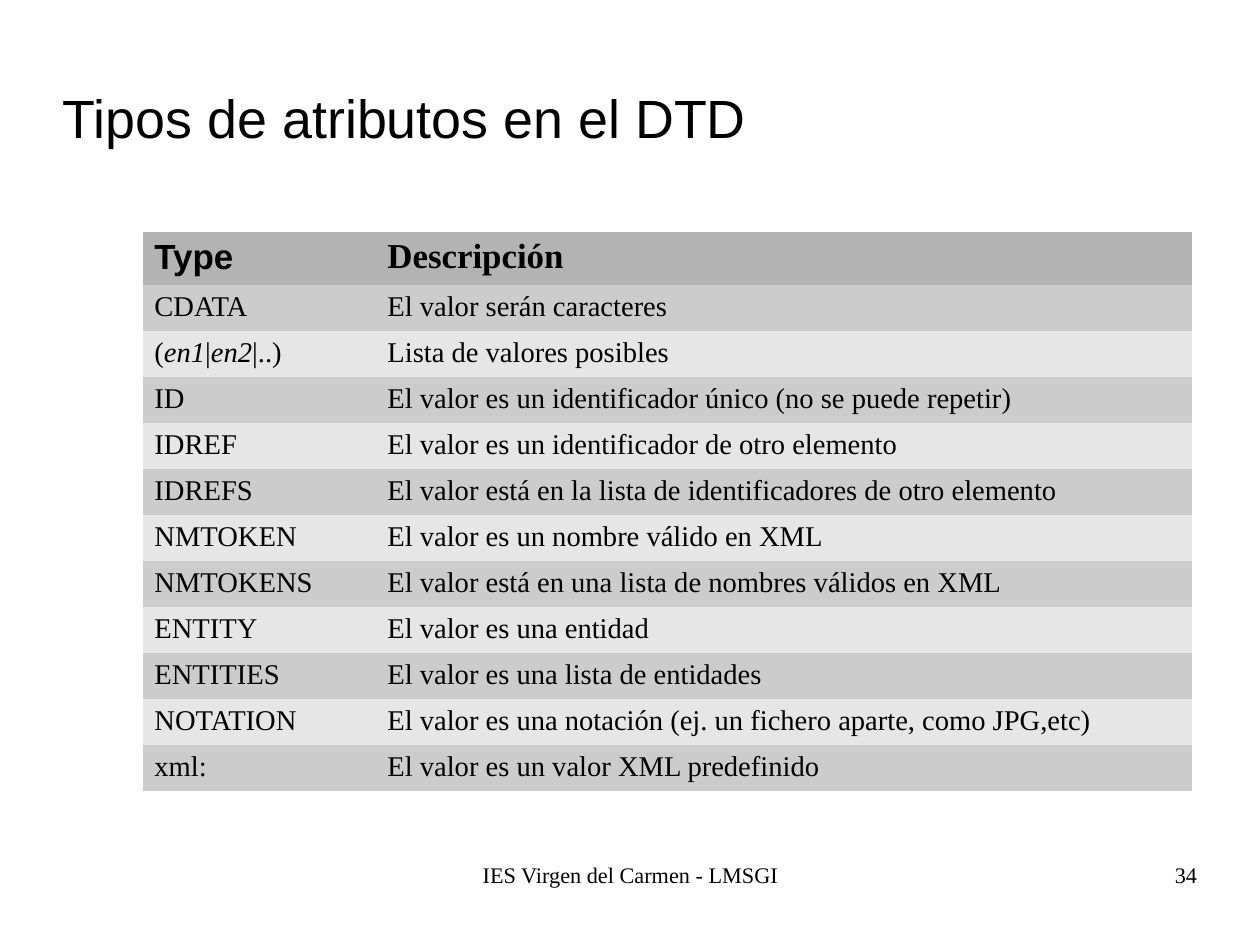
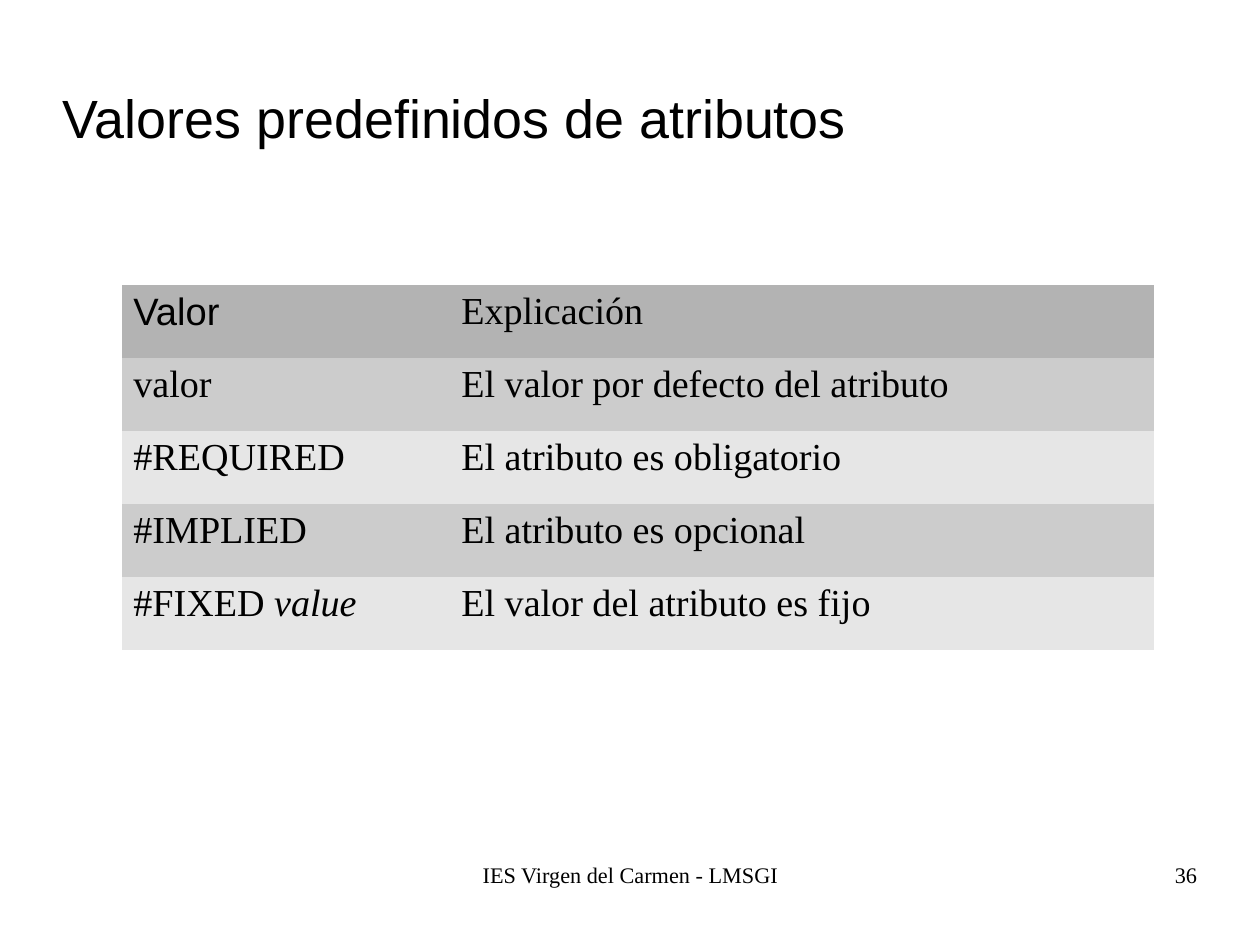
import pptx
import pptx.util
import pptx.dml.color
import pptx.enum.text
import pptx.oxml.ns

RGB = pptx.dml.color.RGBColor
ALIGN = pptx.enum.text.PP_ALIGN
ANCHOR = pptx.enum.text.MSO_ANCHOR
FIT = pptx.enum.text.MSO_AUTO_SIZE

# Shared look
BLACK = RGB(0x00, 0x00, 0x00)
HEAD = RGB(0xB3, 0xB3, 0xB3)
BANDS = (RGB(0xCC, 0xCC, 0xCC), RGB(0xE6, 0xE6, 0xE6))
SANS, SERIF = "Arial", "Times New Roman"
PLAIN = "{2D5ABB26-0587-4C30-8999-92F81FD0307C}"  # table style without grid

# Shared places, 45 px to the centimetre
SCALE = 8000
PAGE = (1260, 945)
TITLE = (63, 72, 900, 90)
FOOT = (431, 861, 399, 65)
NUMBER = (903, 861, 294, 65)
CREDIT = "IES Virgen del Carmen - LMSGI"

# Text between asterisks is italic
TYPES = [
    ("Type", "Descripción"),
    ("CDATA", "El valor serán caracteres"),
    ("(*en1*|*en2*|..)", "Lista de valores posibles"),
    ("ID", "El valor es un identificador único (no se puede repetir)"),
    ("IDREF", "El valor es un identificador de otro elemento"),
    ("IDREFS", "El valor está en la lista de identificadores de otro elemento"),
    ("NMTOKEN", "El valor es un nombre válido en XML"),
    ("NMTOKENS", "El valor está en una lista de nombres válidos en XML"),
    ("ENTITY", "El valor es una entidad"),
    ("ENTITIES", "El valor es una lista de entidades"),
    ("NOTATION", "El valor es una notación (ej. un fichero aparte, como JPG,etc)"),
    ("xml:", "El valor es un valor XML predefinido"),
]
VALUES = [
    ("Valor", "Explicación"),
    ("valor", "El valor por defecto del atributo"),
    ("#REQUIRED", "El atributo es obligatorio"),
    ("#IMPLIED", "El atributo es opcional"),
    ("#FIXED *value*", "El valor del atributo es fijo"),
]


def px(n):
    return pptx.util.Emu(n * SCALE)


def write(frame, text, size, face, bold=False, align=ALIGN.LEFT):
    """Fill a text frame with one paragraph."""
    para = frame.paragraphs[0]
    para.alignment = align
    font = para.font
    font.size, font.name, font.bold = pptx.util.Pt(size), face, bold
    font.color.rgb = BLACK
    for i, part in enumerate(text.split("*")):
        if part:
            run = para.add_run()
            run.text = part
            if i % 2:
                run.font.italic = True


def strip(frame):
    """Take away the margins of a text frame."""
    frame.margin_left = frame.margin_right = 0
    frame.margin_top = frame.margin_bottom = 0
    frame.word_wrap = True


def add_title(slide, box, text):
    shape = slide.shapes.title
    shape.left, shape.top, shape.width, shape.height = map(px, box)
    frame = shape.text_frame
    strip(frame)
    frame.vertical_anchor = ANCHOR.MIDDLE
    frame.auto_size = FIT.SHAPE_TO_FIT_TEXT
    write(frame, text, 33.9, SANS)


def add_label(slide, box, text, align):
    frame = slide.shapes.add_textbox(*map(px, box)).text_frame
    strip(frame)
    write(frame, text, 14, SERIF, align=align)


def add_grid(slide, spot, cols, rows, data, sizes, bold):
    """Banded table; rows and sizes each hold header and body values."""
    highs = [rows[0]] + [rows[1]] * (len(data) - 1)
    shape = slide.shapes.add_table(
        len(data), len(cols), *map(px, (*spot, sum(cols), sum(highs))))
    table = shape.table
    table.first_row = table.horz_banding = False
    tag = pptx.oxml.ns.qn("a:tableStyleId")
    next(shape.element.iter(tag)).text = PLAIN

    for col, wide in zip(table.columns, cols):
        col.width = px(wide)
    for r, (line, high) in enumerate(zip(data, highs)):
        table.rows[r].height = px(high)
        top = r == 0
        for c, text in enumerate(line):
            cell = table.cell(r, c)
            cell.fill.solid()
            cell.fill.fore_color.rgb = HEAD if top else BANDS[(r - 1) % 2]
            face = SANS if top and c == 0 else SERIF
            write(cell.text_frame, text, sizes[0 if top else 1], face, top and bold)


def add_page(deck, title, number, *grid):
    """One slide: title, table and footer."""
    slide = deck.slides.add_slide(deck.slide_layouts.get_by_name("Title Only"))
    add_title(slide, TITLE, title)
    add_grid(slide, *grid)
    add_label(slide, FOOT, CREDIT, ALIGN.CENTER)
    add_label(slide, NUMBER, number, ALIGN.RIGHT)


def main():
    deck = pptx.Presentation()
    deck.slide_width, deck.slide_height = map(px, PAGE)
    add_page(deck, "Tipos de atributos en el DTD", "34",
             (143, 232), (233, 816), (53, 46), TYPES, (22, 18), True)
    add_page(deck, "Valores predefinidos de atributos", "36",
             (122, 285), (328, 704), (73, 73), VALUES, (24, 24), False)
    deck.save("out.pptx")


if __name__ == "__main__":
    main()
